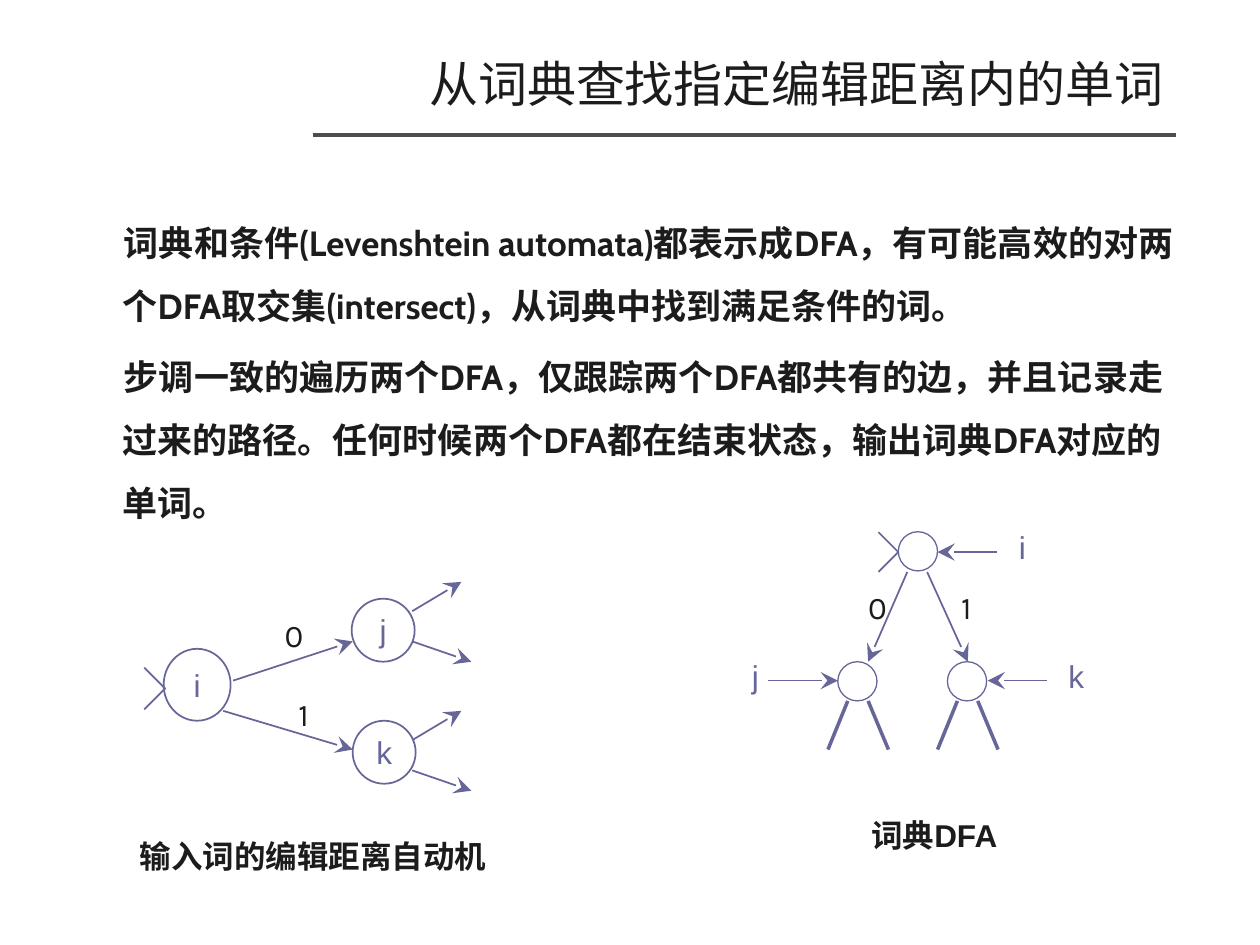
from dataclasses import dataclass

from lxml.etree import SubElement
from pptx import Presentation
from pptx.dml.color import RGBColor
from pptx.enum.shapes import MSO_CONNECTOR as Conn, MSO_SHAPE as Shape
from pptx.enum.text import MSO_ANCHOR as Anchor, PP_ALIGN as Align
from pptx.oxml.ns import qn
from pptx.util import Cm, Pt

COLORS = {"ink": "1C1C1C", "graph": "666699", "rule": "4D4D4D"}
TREE_D = 0.79


@dataclass
class Node:
    x: float
    y: float
    w: float
    h: float
    label: str = ""
    weight: float = 1


@dataclass
class Edge:
    x1: float
    y1: float
    x2: float
    y2: float
    arrow: bool = True
    weight: float = 1
    color: str = "graph"


@dataclass
class Chevron:
    tip_x: float
    tip_y: float
    size: float


@dataclass
class Label:
    text: str
    x: float
    y: float
    w: float
    h: float = 1.02
    size: float = 18
    font: str = "Arial"
    color: str = "ink"
    bold: bool = False
    anchor: Anchor = Anchor.TOP
    align: Align = Align.CENTER
    wrap: bool = False


BODY = [
    "词典和条件(Levenshtein automata)都表示成DFA，有可能高效的对两个DFA取交集(intersect)，从词典中找到满足条件的词。",
    "步调一致的遍历两个DFA，仅跟踪两个DFA都共有的边，并且记录走过来的路径。任何时候两个DFA都在结束状态，输出词典DFA对应的单词。",
]

TREE_LEAVES = [(16.89, 13.34), (19.1, 13.34)]
NODES = [
    Node(3.3, 13.08, 1.35, 1.45, "i"),
    Node(7.09, 12.07, 1.27, 1.27, "j"),
    Node(7.11, 14.53, 1.27, 1.27, "k"),
] + [Node(x, y, TREE_D, TREE_D, weight=0) for x, y in [(18.11, 10.72)] + TREE_LEAVES]

EDGES = [
    Edge(6.3, 2.72, 23.7, 2.72, False, 0, "rule"),
    Edge(4.7, 13.72, 7.11, 12.93),
    Edge(4.5, 14.33, 7.11, 15.11),
    Edge(18.29, 11.53, 17.5, 13.34),
    Edge(18.69, 11.53, 19.51, 13.34),
    Edge(20.09, 11.13, 18.9, 11.13),
    Edge(15.49, 13.72, 16.89, 13.72),
    Edge(21.11, 13.72, 19.91, 13.72),
]
for dy in (0, 2.6):
    EDGES += [
        Edge(8.31, 12.32 + dy, 9.3, 11.73 + dy),
        Edge(8.31, 12.93 + dy, 9.5, 13.34 + dy),
    ]
for x, y in TREE_LEAVES:
    EDGES += [
        Edge(x + start, y + TREE_D, x + end, 15.11, False, 0)
        for start, end in ((0.2, -0.2), (0.61, 1.02))
    ]

CHEVRONS = [Chevron(3.33, 13.88, 0.42), Chevron(18.11, 11.13, 0.4)]

LABELS = [
    Label("从词典查找指定编辑距离内的单词", 1.75, 0.89, 21.95, 1.57, 28, "Cabin",
          anchor=Anchor.MIDDLE, align=Align.RIGHT, wrap=True),
    Label("i", 20.29, 10.52, 0.64, color="graph"),
    Label("j", 14.91, 13.13, 0.64, color="graph"),
    Label("k", 21.29, 13.13, 0.81, color="graph"),
    Label("输入词的编辑距离自动机", 2.57, 16.74, 7.49, bold=True),
    Label("词典DFA", 17.22, 16.33, 3.23, bold=True),
] + [
    Label(text, x, y, 0.86, font="Karla", anchor=Anchor.MIDDLE)
    for text, x, y in [("0", 5.49, 12.29), ("1", 5.69, 13.89),
                       ("0", 17.25, 11.73), ("1", 19.05, 11.73)]
]


def rgb(name: str) -> RGBColor:
    return RGBColor.from_string(COLORS[name])


def add_run(p, text: str, size: float, font: str, color: str, bold: bool = False) -> None:
    r = p.add_run()
    r.text = text
    r.font.size = Pt(size)
    r.font.name = font
    r.font.bold = bold
    r.font.color.rgb = rgb(color)


def outline(s, weight: float, color: str = "graph") -> None:
    s.line.color.rgb = rgb(color)
    s.line.width = Pt(weight)


def draw_label(shapes, label: Label) -> None:
    tf = shapes.add_textbox(Cm(label.x), Cm(label.y), Cm(label.w), Cm(label.h)).text_frame
    tf.word_wrap = label.wrap
    tf.vertical_anchor = label.anchor
    p = tf.paragraphs[0]
    p.alignment = label.align
    add_run(p, label.text, label.size, label.font, label.color, label.bold)


def draw_body(shapes) -> None:
    tf = shapes.add_textbox(Cm(1.27), Cm(3.91), Cm(22.86), Cm(14.15)).text_frame
    tf.word_wrap = True
    for i, text in enumerate(BODY):
        p = tf.add_paragraph() if i else tf.paragraphs[0]
        p.line_spacing = 1.5
        if i:
            p.space_before = Pt(5)
        pPr = p._p.get_or_add_pPr()
        pPr.set("marL", str(Cm(0.95)))
        pPr.set("indent", str(Cm(0.03)))
        add_run(p, text, 20, "Cabin", "ink", True)


def draw_node(shapes, node: Node) -> None:
    s = shapes.add_shape(Shape.OVAL, Cm(node.x), Cm(node.y), Cm(node.w), Cm(node.h))
    s.shadow.inherit = False
    s.fill.background()
    outline(s, node.weight)
    if node.label:
        tf = s.text_frame
        tf.word_wrap = False
        tf.vertical_anchor = Anchor.MIDDLE
        p = tf.paragraphs[0]
        p.alignment = Align.CENTER
        add_run(p, node.label, 18, "Arial", "graph")


def draw_edge(shapes, edge: Edge) -> None:
    s = shapes.add_connector(Conn.STRAIGHT, Cm(edge.x1), Cm(edge.y1), Cm(edge.x2), Cm(edge.y2))
    outline(s, edge.weight, edge.color)
    if edge.arrow:
        SubElement(s.line._get_or_add_ln(), qn("a:tailEnd"), type="stealth", w="lg", len="lg")
    SubElement(s._element.spPr, qn("a:effectLst"))


def draw_chevron(shapes, mark: Chevron) -> None:
    back = Cm(mark.tip_x - mark.size)
    fb = shapes.build_freeform(back, Cm(mark.tip_y - mark.size))
    fb.add_line_segments(
        [(Cm(mark.tip_x), Cm(mark.tip_y)), (back, Cm(mark.tip_y + mark.size))], close=False)
    s = fb.convert_to_shape()
    s.shadow.inherit = False
    s.fill.background()
    outline(s, 1)


def main() -> None:
    prs = Presentation()
    prs.slide_width, prs.slide_height = Cm(25.4), Cm(19.05)
    shapes = prs.slides.add_slide(prs.slide_layouts[6]).shapes
    draw_body(shapes)
    for items, draw in ((NODES, draw_node), (EDGES, draw_edge),
                        (CHEVRONS, draw_chevron), (LABELS, draw_label)):
        for item in items:
            draw(shapes, item)
    prs.save("out.pptx")


if __name__ == "__main__":
    main()
